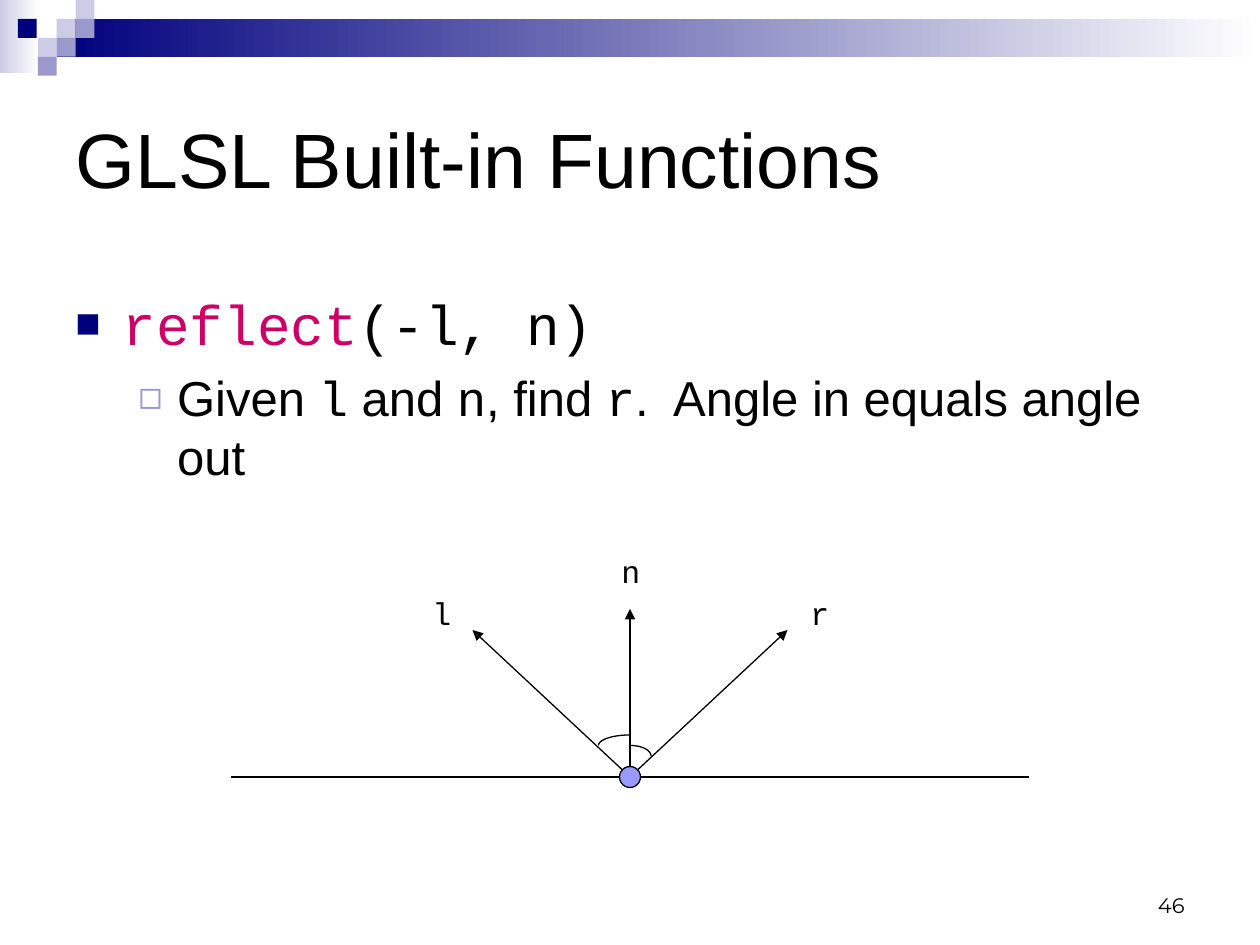
"""Build the slide on the GLSL reflect function."""
import math
from dataclasses import dataclass
from typing import Any, NamedTuple

from lxml import etree
from pptx import Presentation, util as u
from pptx.dml.color import RGBColor
from pptx.enum import shapes as sh, text as tx
from pptx.oxml.ns import qn

SCALE = 7620


@dataclass(frozen=True)
class Theme:
    navy: str = "00007D"
    mid: str = "9999CC"
    pale: str = "CCCCE6"
    white: str = "FFFFFF"
    ink: str = "000000"
    pink: str = "CC0066"
    dot: str = "9999FF"
    sans: str = "Arial"
    mono: str = "Courier New"
    page: str = "Montserrat"
    title: int = 44
    head: int = 32
    sub: int = 28
    label: int = 18
    small: int = 12
    rule: float = 0.75


T = Theme()


class Box(NamedTuple):
    left: int
    top: int
    width: int
    height: int


class Run(NamedTuple):
    text: str
    font: str
    size: int
    color: str = T.ink


class Bullet(NamedTuple):
    char: str
    color: str
    pct: int
    left: int
    hang: int


class Arc(NamedTuple):
    x: int
    y: int
    wide: int
    high: int


def px(num: float) -> int:
    """Turn pixels into EMU."""
    return round(num * SCALE)


def rgb(code: str) -> RGBColor:
    """Turn a hex code into a colour."""
    return RGBColor.from_string(code)


def apply(item: Any, form: dict[str, Any]) -> None:
    """Set each attribute named in a dict."""
    for name, value in form.items():
        setattr(item, name, value)


def write(para: Any, runs: list[Run]) -> None:
    """Add formatted runs to a paragraph."""
    for part in runs:
        run = para.add_run()
        run.text = part.text
        apply(run.font, {"name": part.font, "size": u.Pt(part.size)})
        run.font.color.rgb = rgb(part.color)


def mark(para: Any, bullet: Bullet) -> None:
    """Give a paragraph its bullet and hanging indent."""
    props = para._p.get_or_add_pPr()
    props.set("marL", str(px(bullet.left)))
    props.set("indent", str(-px(bullet.hang)))
    tint = etree.SubElement(props, qn("a:buClr"))
    etree.SubElement(tint, qn("a:srgbClr"), val=bullet.color)
    etree.SubElement(props, qn("a:buSzPct"), val=str(bullet.pct * 1000))
    etree.SubElement(props, qn("a:buFont"), typeface=T.sans)
    etree.SubElement(props, qn("a:buChar"), char=bullet.char)


def frame(slide: Any, box: Box, form: dict[str, Any]) -> Any:
    """Add a text box and return its frame."""
    body = slide.shapes.add_textbox(*map(px, box)).text_frame
    apply(body, form)
    return body


def block(slide: Any, kind: Any, box: Box, color: str) -> Any:
    """Add a plain filled shape without a line."""
    shape = slide.shapes.add_shape(kind, *map(px, box))
    shape.shadow.inherit = False
    shape.fill.solid()
    shape.fill.fore_color.rgb = rgb(color)
    shape.line.fill.background()
    return shape


def fade(slide: Any, box: Box, color: str) -> None:
    """Add a bar that fades to white on the right."""
    fill = block(slide, sh.MSO_SHAPE.RECTANGLE, box, color).fill
    fill.gradient()
    fill.gradient_angle = 0
    for stop, code in zip(fill.gradient_stops, (color, T.white)):
        stop.color.rgb = rgb(code)


def stroke(shape: Any) -> None:
    """Give a shape the thin black line."""
    shape.line.color.rgb = rgb(T.ink)
    shape.line.width = u.Pt(T.rule)


def line(slide: Any, start: tuple[int, int], end: tuple[int, int], tip: bool) -> None:
    """Draw a straight line, with an arrowhead if wanted."""
    wire = slide.shapes.add_connector(sh.MSO_CONNECTOR.STRAIGHT, *map(px, start + end))
    stroke(wire)
    props = wire.element.spPr
    if tip:
        etree.SubElement(props.find(qn("a:ln")), qn("a:tailEnd"), type="triangle")
    etree.SubElement(props, qn("a:effectLst"))


def bend(slide: Any, arc: Arc) -> None:
    """Draw a quarter ellipse from its top; a negative width goes left."""
    turns = [math.pi / 2 * step / 24 for step in range(25)]
    dots = [(px(arc.x + arc.wide * math.sin(a)), px(arc.y - arc.high * math.cos(a)))
            for a in turns]
    path = slide.shapes.build_freeform(*dots[0])
    path.add_line_segments(dots[1:], close=False)
    curve = path.convert_to_shape()
    curve.shadow.inherit = False
    curve.fill.background()
    stroke(curve)


def band(slide: Any) -> None:
    """Draw the bars and squares at the top."""
    side = 18
    fade(slide, Box(0, 0, 37, 70), T.pale)
    fade(slide, Box(54, 18, 1146, 36), T.navy)
    tiles = [(54, 18, T.pale), (72, 0, T.pale), (72, 18, T.mid), (36, 36, T.pale),
             (17, 18, T.navy), (54, 36, T.mid), (36, 54, T.mid)]
    for x, y, color in tiles:
        block(slide, sh.MSO_SHAPE.RECTANGLE, Box(x, y, side, side), color)


def words(slide: Any) -> None:
    """Write the title, the bullets and the page number."""
    title = slide.shapes.title
    apply(title, dict(zip(("left", "top", "width", "height"), map(px, (60, 60, 1080, 180)))))
    title.text_frame.vertical_anchor = tx.MSO_ANCHOR.MIDDLE
    head = title.text_frame.paragraphs[0]
    head.alignment = tx.PP_ALIGN.LEFT
    write(head, [Run("GLSL Built-in Functions", T.sans, T.title)])

    body = frame(slide, Box(60, 260, 1080, 510), {"word_wrap": True, "margin_top": px(16)})
    call = body.paragraphs[0]
    mark(call, Bullet("■", T.navy, 75, 45, 45))
    write(call, [Run("reflect", T.mono, T.head, T.pink), Run("(-l, n)", T.mono, T.head)])
    note = body.add_paragraph()
    mark(note, Bullet("◻", T.mid, 80, 97, 37))
    apply(note, {"level": 1, "space_before": u.Pt(6)})
    parts = ["Given ", "l", " and ", "n", ", find ", "r", ".  Angle in equals angle out"]
    write(note, [Run(part, (T.sans, T.mono)[i % 2], T.sub) for i, part in enumerate(parts)])

    foot = frame(slide, Box(860, 820, 280, 60),
                 {"word_wrap": True, "vertical_anchor": tx.MSO_ANCHOR.BOTTOM})
    foot.paragraphs[0].alignment = tx.PP_ALIGN.RIGHT
    write(foot.paragraphs[0], [Run("46", T.page, T.small)])


def rays(slide: Any) -> None:
    """Draw the reflection figure."""
    hub = (600, 740)
    line(slide, (220, 740), (980, 740), False)
    for end in ((600, 580), (450, 600), (750, 600)):
        line(slide, hub, end, True)
    for name, x, y in (("n", 580, 520), ("l", 400, 560), ("r", 760, 560)):
        tag = frame(slide, Box(x, y, 42, 48),
                    {"word_wrap": False, "auto_size": tx.MSO_AUTO_SIZE.SHAPE_TO_FIT_TEXT})
        write(tag.paragraphs[0], [Run(name, T.mono, T.label)])
    stroke(block(slide, sh.MSO_SHAPE.OVAL, Box(590, 730, 20, 20), T.dot))
    for arc in (Arc(600, 720, 20, 10), Arc(600, 710, -30, 10)):
        bend(slide, arc)


def main() -> None:
    """Build and save the deck."""
    deck = Presentation()
    apply(deck, {"slide_width": px(1200), "slide_height": px(900)})
    slide = deck.slides.add_slide(deck.slide_layouts[5])
    for draw in (band, words, rays):
        draw(slide)
    deck.save("out.pptx")


if __name__ == "__main__":
    main()
